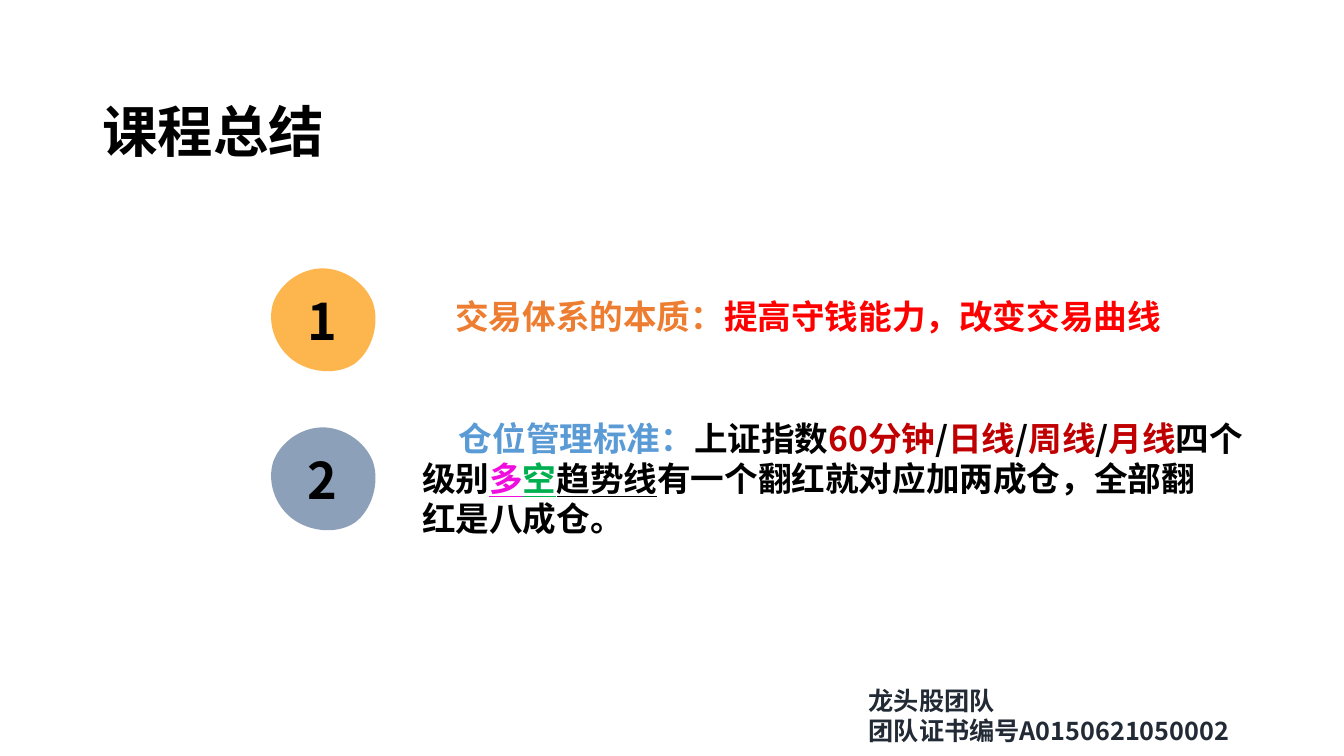
import pptx
import pptx.dml.color
import pptx.enum.text
import pptx.util
from pptx.oxml.ns import qn
from pptx.util import Pt

FONT = "Noto Sans CJK SC"
BLACK, RED, DARK_RED = "000000", "FF0000", "C00000"
ANCHOR = pptx.enum.text.MSO_ANCHOR
CENTER = pptx.enum.text.PP_ALIGN.CENTER

# Each run: text, colour, then underlined and letter spacing if any
ESSENCE = [("交易体系的本质：", "ED7D31"), ("提高守钱能力，改变交易曲线", RED)]
POSITION = [
    ("仓位管理标准：", "5B9BD5"),
    ("上证指数", BLACK),
    ("60分钟", DARK_RED),
    ("/", BLACK),
    ("日线", DARK_RED),
    ("/", BLACK),
    ("周线", DARK_RED),
    ("/", BLACK),
    ("月线", DARK_RED),
    ("四个级别", BLACK),
    ("多", "F00EDE", True),
    ("空", "00B050", True),
    ("趋势线", BLACK, True),
    ("有一个翻红就对应加两成仓，全部翻", BLACK),
    ("　", BLACK, False, 3.6),
    ("红是八成仓。", BLACK),
]
TEAM = ["龙头股团队", "团队证书编号A0150621050002"]

# Each text box: place (left, top, width, height), paragraphs of runs, format
TEXT_BOXES = [
    ((285.1, 208.1, 634.3, 36), [ESSENCE], {"size": 24, "indent": 33}),
    ((294.5, 294.8, 609.1, 94.3), [POSITION], {"size": 24, "indent": 26.2}),
    ((66.2, 69.1, 328.3, 54), [[("课程总结", BLACK)]],
     {"size": 39.6, "line_spacing": 0.9, "anchor": ANCHOR.MIDDLE}),
    ((613.4, 486, 285.1, 51.1), [[(line, "222A35")] for line in TEAM], {"size": 18}),
]

# Each badge: number, left, top, fill
BADGES = [("2", 193, 305.3, "8DA0B9"), ("1", 193, 191.7, "FDB64E")]

# Badge outline in tenths of a point
UNIT = Pt(0.1)
BLOB_SIZE = (749, 742)
BLOB_START = (734, 245)
BLOB_CURVES = [
    ((785, 394), (727, 590), (605, 680)),
    ((475, 767), (281, 745), (158, 652)),
    ((29, 554), (-22, 382), (22, 245)),
    ((72, 108), (216, 4), (367, 0)),
    ((518, -3), (677, 97), (734, 245)),
]


def color(hex_value):
    return pptx.dml.color.RGBColor.from_string(hex_value)


def set_all(target, values):
    for name, value in values.items():
        setattr(target, name, value)


def add_run(paragraph, size, text, hex_value, underline=False, spacing=0):
    run = paragraph.add_run()
    run.text = text
    set_all(run.font, {"size": Pt(size), "bold": True, "name": FONT})
    run.font.color.rgb = color(hex_value)
    properties = run.font._element
    east_asian = properties.makeelement(qn("a:ea"), {"typeface": FONT})
    properties.find(qn("a:latin")).addnext(east_asian)
    if underline:
        run.font.underline = True
    if spacing:
        properties.set("spc", str(round(spacing * 100)))


def add_text_box(slide, place, paragraphs, style):
    frame = slide.shapes.add_textbox(*map(Pt, place)).text_frame
    set_all(frame, {"word_wrap": True, "vertical_anchor": style.get("anchor", ANCHOR.TOP)})
    for index, runs in enumerate(paragraphs):
        paragraph = frame.add_paragraph() if index else frame.paragraphs[0]
        paragraph.line_spacing = style.get("line_spacing")
        if "indent" in style:
            paragraph._p.get_or_add_pPr().set("indent", str(Pt(style["indent"])))
        for run in runs:
            add_run(paragraph, style["size"], *run)


def curve_outline(shape):
    """Replace the straight outline of a freeform by the badge curves."""
    outline = shape._element.find(".//" + qn("a:path"))
    for segment in list(outline):
        outline.remove(segment)
    segments = [("a:moveTo", [BLOB_START])]
    segments += [("a:cubicBezTo", curve) for curve in BLOB_CURVES]
    segments.append(("a:close", []))
    for tag, points in segments:
        segment = outline.makeelement(qn(tag), {})
        outline.append(segment)
        for x, y in points:
            segment.append(outline.makeelement(qn("a:pt"), {"x": str(x), "y": str(y)}))


def add_badge(slide, number, left, top, fill):
    width, height = BLOB_SIZE
    builder = slide.shapes.build_freeform(0, 0, scale=UNIT)
    builder.add_line_segments([(width, 0), (width, height), (0, height)], close=True)
    badge = builder.convert_to_shape(Pt(left), Pt(top))
    curve_outline(badge)
    badge.shadow.inherit = False
    badge.fill.solid()
    badge.fill.fore_color.rgb = color(fill)
    badge.line.fill.background()
    set_all(badge.text_frame, {"word_wrap": False, "vertical_anchor": ANCHOR.MIDDLE})
    paragraph = badge.text_frame.paragraphs[0]
    paragraph.alignment = CENTER
    add_run(paragraph, 36, number, BLACK)


def main():
    presentation = pptx.Presentation()
    set_all(presentation, {"slide_width": Pt(960), "slide_height": Pt(540)})
    slide = presentation.slides.add_slide(presentation.slide_layouts[6])
    for badge in BADGES:
        add_badge(slide, *badge)
    for text_box in TEXT_BOXES:
        add_text_box(slide, *text_box)
    presentation.save("out.pptx")


if __name__ == "__main__":
    main()
